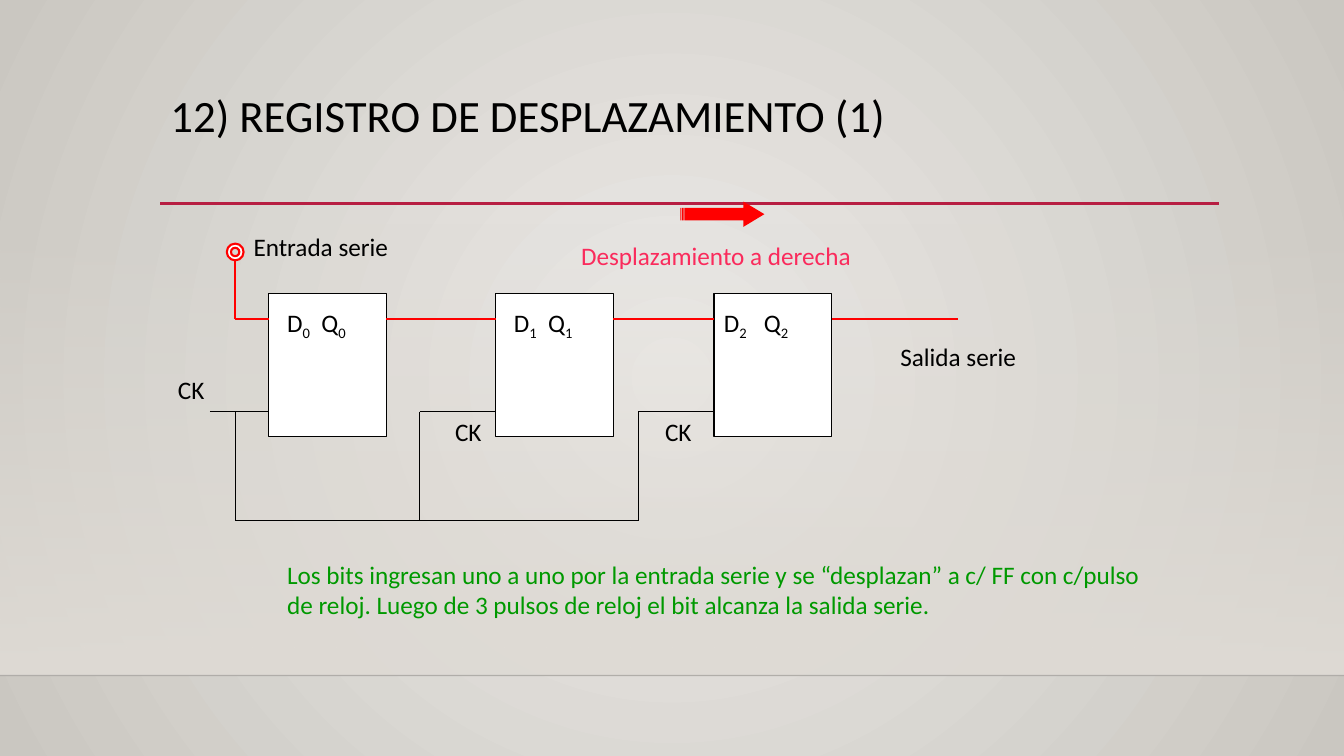
import pptx
import pptx.util
import pptx.dml.color
import pptx.enum.shapes
import pptx.enum.text
import pptx.oxml
import pptx.oxml.ns
import lxml.etree

Pt = pptx.util.Pt
SHAPES = pptx.enum.shapes.MSO_SHAPE
qn = pptx.oxml.ns.qn

COLORS = {
    "center": "ECEAE7", "edge": "CAC7C1", "floor": "DFDBD5",
    "horizon": "000001", "rule": "B71E42", "ink": "000000",
    "paper": "FFFFFF", "data": "FF0000", "shift": "FA2B5C", "note": "009900",
}


def rgb(name):
    return pptx.dml.color.RGBColor.from_string(COLORS[name])


def set_alpha(element, percent):
    color = element.find(".//" + qn("a:srgbClr"))
    lxml.etree.SubElement(color, qn("a:alpha")).set("val", str(percent * 1000))


class Diagram:
    font = "Calibri"
    size = 18

    def __init__(self, deck):
        self.page = deck.slides.add_slide(deck.slide_layouts[5])

    def gradient(self, fill, names):
        fill.gradient()
        for stop, name in zip(fill.gradient_stops, names):
            stop.color.rgb = rgb(name)

    def background(self, names):
        self.gradient(self.page.background.fill, names)
        gradient = self.page.element.find(".//" + qn("a:gradFill"))
        gradient.remove(gradient.find(qn("a:lin")))
        circle = lxml.etree.SubElement(gradient, qn("a:path"))
        circle.set("path", "circle")
        focus = lxml.etree.SubElement(circle, qn("a:fillToRect"))
        for side in "ltrb":
            focus.set(side, "50000")

    def shape(self, kind, left, top, width, height, fill=None, line=None, weight=0.75):
        box = self.page.shapes.add_shape(kind, Pt(left), Pt(top), Pt(width), Pt(height))
        box.shadow.inherit = False
        if fill:
            box.fill.solid()
            box.fill.fore_color.rgb = rgb(fill)
        if line:
            box.line.color.rgb = rgb(line)
            box.line.width = Pt(weight)
        else:
            box.line.fill.background()
        return box

    def floor(self, top, height):
        box = self.shape(SHAPES.RECTANGLE, 0, top, 960, height)
        self.gradient(box.fill, ("floor", "floor"))
        box.fill.gradient_angle = 270
        set_alpha(box.element, 0)

    def line(self, start, end, color="ink", weight=0.75):
        wire = self.page.shapes.add_connector(
            pptx.enum.shapes.MSO_CONNECTOR.STRAIGHT, *(Pt(value) for value in start + end))
        wire.line.color.rgb = rgb(color)
        wire.line.width = Pt(weight)
        lxml.etree.SubElement(wire.element.spPr, qn("a:effectLst"))
        return wire

    def style(self, span, size, color):
        span.font.name = self.font
        span.font.size = Pt(size)
        span.font.color.rgb = rgb(color)

    def title(self, text, left, top, width, height):
        box = self.page.shapes.title
        box.left, box.top, box.width, box.height = Pt(left), Pt(top), Pt(width), Pt(height)
        box.text_frame.text = text
        box.text_frame.vertical_anchor = pptx.enum.text.MSO_ANCHOR.TOP
        para = box.text_frame.paragraphs[0]
        para.alignment = pptx.enum.text.PP_ALIGN.LEFT
        para.line_spacing = 0.9
        self.style(para.runs[0], 32, "ink")

    def label(self, text, left, top, width, height=28.8, color="ink"):
        box = self.page.shapes.add_textbox(Pt(left), Pt(top), Pt(width), Pt(height))
        box.text_frame.word_wrap = True
        box.text_frame.auto_size = pptx.enum.text.MSO_AUTO_SIZE.SHAPE_TO_FIT_TEXT
        box.text_frame.text = text
        para = box.text_frame.paragraphs[0]
        for span in para.runs:
            self.style(span, self.size, color)
        return para

    def pins(self, index, left, top, width, gap):
        para = self.label("D", left, top, width)
        for text in (str(index), "\tQ", str(index)):
            span = para.add_run()
            span.text = text
            self.style(span, self.size, "ink")
            if text.isdigit():
                span.font._element.set("baseline", "-25000")
        tabs = lxml.etree.SubElement(para._p.get_or_add_pPr(), qn("a:tabLst"))
        tab = lxml.etree.SubElement(tabs, qn("a:tab"))
        tab.set("pos", str(Pt(gap)))
        tab.set("algn", "l")


def main():
    deck = pptx.Presentation()
    deck.slide_width, deck.slide_height = Pt(960), Pt(540)
    diagram = Diagram(deck)

    diagram.background(("center", "edge"))
    diagram.floor(159, 323.5)
    horizon = diagram.line((0, 482.5), (960, 482.5), "horizon", 1)
    set_alpha(horizon.element, 20)
    diagram.line((114.5, 145.4), (871, 145.4), "rule", 2.5)
    diagram.title("12) REGISTRO DE DESPLAZAMIENTO (1)", 114.5, 63.4, 756, 82.8)

    width, top, height = 84, 210, 102
    data_y, clock_y, bus_y = 228, 294, 372
    input_x, output_x = 168, 684
    lefts = (192, 354, 510)
    taps = (input_x, 300, 456)

    for left in lefts:
        diagram.shape(SHAPES.RECTANGLE, left, top, width, height, "paper", "ink")

    starts = (input_x,) + tuple(left + width for left in lefts)
    for start, end in zip(starts, lefts + (output_x,)):
        diagram.line((start, data_y), (end, data_y), "data", 1.5)
    diagram.line((input_x, data_y), (input_x, 186), "data", 1.5)

    for start, left in zip((150,) + taps[1:], lefts):
        diagram.line((start, clock_y), (left, clock_y))
    for tap in taps:
        diagram.line((tap, clock_y), (tap, bus_y))
    diagram.line((taps[0], bus_y), (taps[-1], bus_y))

    pins = ((198, 96, 24.5), (360, 108, 24.5), (510, 126, 28.5))
    for index, (left, span_width, gap) in enumerate(pins):
        diagram.pins(index, left, 216, span_width, gap)
    for left, label_top, label_width in ((120, 264, 66), (318, 294, 42), (468, 294, 42)):
        diagram.label("CK", left, label_top, label_width)

    diagram.shape(SHAPES.DONUT, 162, 174, 12, 12, "paper", "data", 1.5)
    diagram.label("Entrada serie", 174, 162, 192)
    diagram.label("Salida serie", 636, 240, 156)
    diagram.label(
        "Los bits ingresan uno a uno por la entrada serie y se “desplazan” a c/ FF con "
        "c/pulso de reloj. Luego de 3 pulsos de reloj el bit alcanza la salida serie.",
        198, 396, 624, 51, "note")
    arrow = diagram.shape(SHAPES.STRIPED_RIGHT_ARROW, 486, 144, 60, 18, "data")
    arrow.adjustments[1] = 0.83
    diagram.label("Desplazamiento a derecha", 408, 168, 324, color="shift")

    deck.save("out.pptx")


if __name__ == "__main__":
    main()
